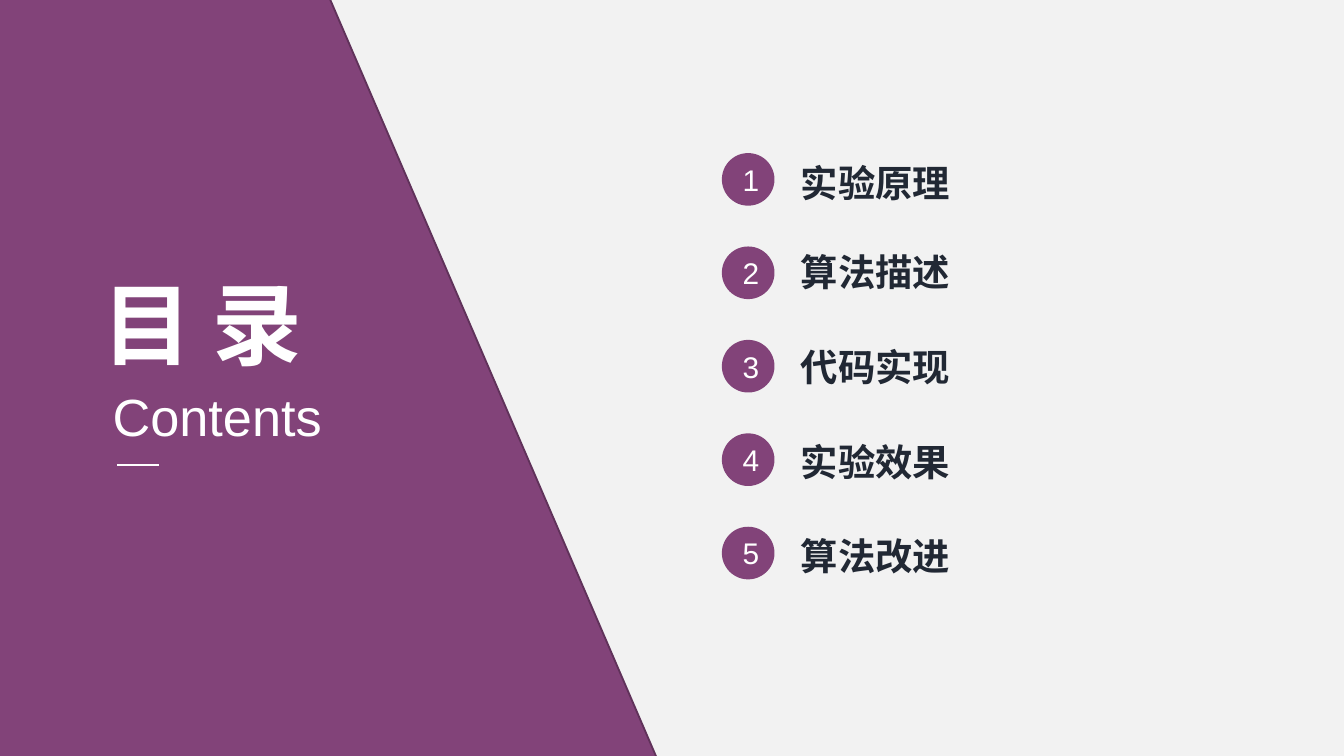
from lxml.etree import SubElement
from pptx import Presentation
from pptx.dml.color import RGBColor
from pptx.enum.shapes import MSO_CONNECTOR, MSO_SHAPE
from pptx.enum.text import MSO_ANCHOR, MSO_AUTO_SIZE, PP_ALIGN
from pptx.oxml.ns import qn
from pptx.util import Pt

PURPLE = RGBColor(0x82, 0x43, 0x79)
DARK_PURPLE = RGBColor(0x60, 0x32, 0x5A)
WHITE = RGBColor(0xFF, 0xFF, 0xFF)
LIGHT_GRAY = RGBColor(0xF2, 0xF2, 0xF2)
INK = RGBColor(0x21, 0x28, 0x34)


class ContentsSlide:
    latin_font = "Arial"
    chinese_font = "Noto Sans CJK SC"

    def __init__(self, presentation):
        self.slide = presentation.slides.add_slide(presentation.slide_layouts[5])
        fill = self.slide.background.fill
        fill.solid()
        fill.fore_color.rgb = LIGHT_GRAY

    def add_text(self, shape, text, size, color, font_name, bold=False,
                 align=PP_ALIGN.LEFT, anchor=MSO_ANCHOR.TOP):
        frame = shape.text_frame
        frame.word_wrap = True
        frame.vertical_anchor = anchor
        paragraph = frame.paragraphs[0]
        paragraph.alignment = align
        run = paragraph.add_run()
        run.text = text
        font = run.font
        font.name, font.size, font.bold = font_name, Pt(size), bold
        font.color.rgb = color
        # East Asian characters take their own typeface entry
        east_asian = SubElement(run._r.get_or_add_rPr(), qn("a:ea"))
        east_asian.set("typeface", font_name)

    def title(self, text, left, top, width, height):
        title = self.slide.shapes.title
        title.left, title.top = Pt(left), Pt(top)
        title.width, title.height = Pt(width), Pt(height)
        self.add_text(title, text, 48, WHITE, self.chinese_font, bold=True)
        title.text_frame.auto_size = MSO_AUTO_SIZE.SHAPE_TO_FIT_TEXT

    def label(self, text, left, top, width, height, size, color, font_name, bold=False):
        box = self.slide.shapes.add_textbox(Pt(left), Pt(top), Pt(width), Pt(height))
        self.add_text(box, text, size, color, font_name, bold)
        box.text_frame.auto_size = MSO_AUTO_SIZE.SHAPE_TO_FIT_TEXT

    def filled_shape(self, kind, left, top, width, height):
        shape = self.slide.shapes.add_shape(kind, Pt(left), Pt(top), Pt(width), Pt(height))
        shape.shadow.inherit = False
        shape.fill.solid()
        shape.fill.fore_color.rgb = PURPLE
        shape.line.fill.background()
        return shape

    def panel(self, left, top, width, height, rotation):
        panel = self.filled_shape(MSO_SHAPE.RECTANGLE, left, top, width, height)
        panel.rotation = rotation
        panel.line.color.rgb = DARK_PURPLE
        panel.line.width = Pt(1)
        # Keep the panel behind the title
        self.slide.shapes.title.element.addprevious(panel.element)

    def badge(self, number, left, top, diameter):
        badge = self.filled_shape(MSO_SHAPE.OVAL, left, top, diameter, diameter)
        self.add_text(badge, str(number), 16, WHITE, self.latin_font,
                      align=PP_ALIGN.CENTER, anchor=MSO_ANCHOR.MIDDLE)

    def rule(self, left, right, y):
        rule = self.slide.shapes.add_connector(
            MSO_CONNECTOR.STRAIGHT, Pt(left), Pt(y), Pt(right), Pt(y))
        rule.line.color.rgb = WHITE
        rule.line.width = Pt(1.5)
        SubElement(rule.element.spPr, qn("a:effectLst"))


def main():
    presentation = Presentation()
    presentation.slide_width, presentation.slide_height = Pt(720), Pt(405)
    contents = ContentsSlide(presentation)

    # Slanted panel with the heading
    contents.panel(-159.1, 71.3, 518.4, 326.9, rotation=66.7)
    contents.title("目 录", 47.5, 140.4, 142.6, 65.5)
    contents.label("Contents", 53.3, 202.3, 152.6, 41, 28, WHITE, contents.latin_font)
    contents.rule(62.6, 85.4, 249.1)

    # Numbered chapters: text, top and width of each label
    chapters = [
        ("实验原理", 82.1, 106.6),
        ("算法描述", 129.8, 106.6),
        ("代码实现", 180.7, 174.2),
        ("实验效果", 231.8, 219.6),
        ("算法改进", 282.2, 219.6),
    ]
    for index, (text, top, width) in enumerate(chapters):
        contents.label(text, 421.9, top, width, 31.7, 20, INK,
                       contents.chinese_font, bold=True)
        contents.badge(index + 1, 386.7, 82 + index * 50.05, 28.2)

    presentation.save("out.pptx")


if __name__ == "__main__":
    main()
